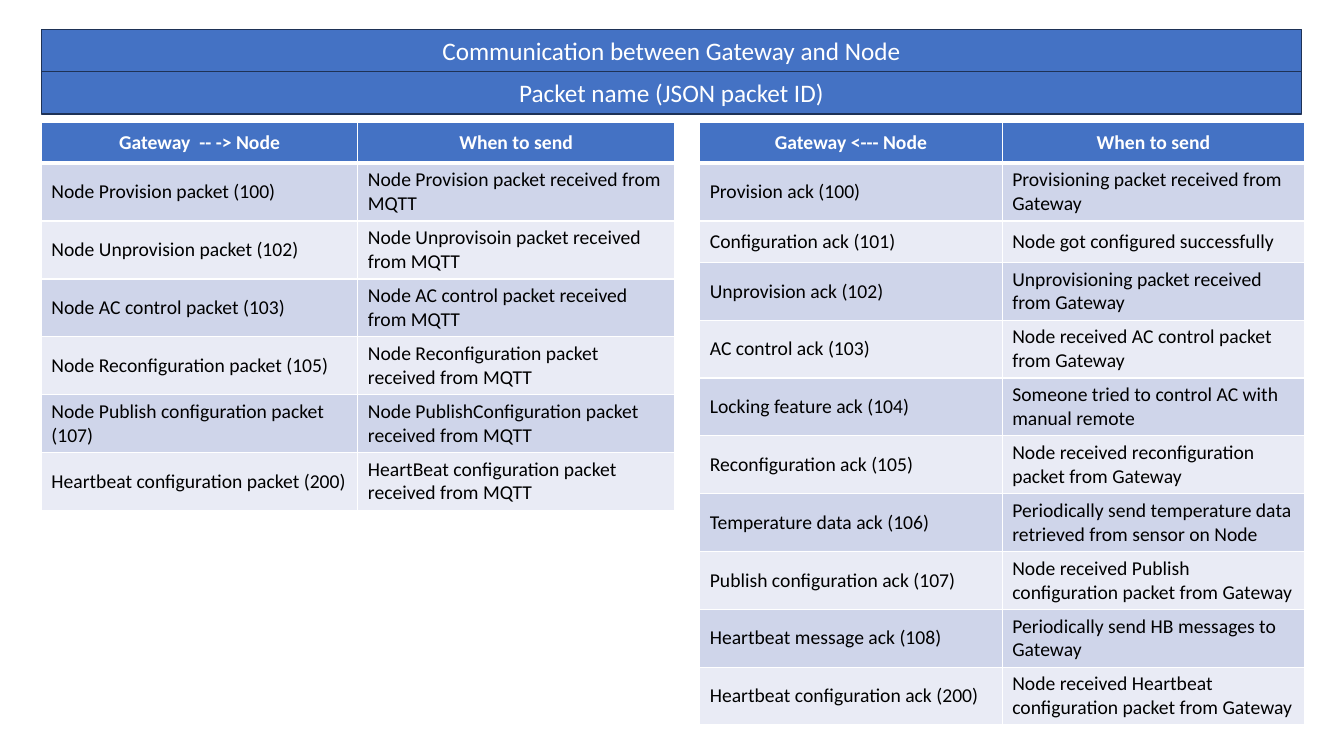
from dataclasses import dataclass

from lxml.etree import SubElement
from pptx import Presentation
from pptx.dml.color import RGBColor
from pptx.enum.shapes import MSO_SHAPE as Shape
from pptx.enum.text import MSO_ANCHOR as Anchor, PP_ALIGN as Align
from pptx.oxml.ns import qn
from pptx.slide import Slide
from pptx.table import _Cell as Cell
from pptx.text.text import TextFrame
from pptx.util import Inches, Pt

FONT = "Calibri"
BLUE, NAVY, WHITE, BLACK = "4472C4", "1E3256", "FFFFFF", "000000"
BANDS = ("CFD5EA", "E9EBF5")
LEFT, BANNER_WIDTH, BANNER_HEIGHT = 0.41, 12.5, 0.42
TABLE_TOP, ROW_HEIGHT = 1.21, 0.41


@dataclass
class Banner:
    text: str
    top: float


@dataclass
class PacketTable:
    left: float
    column_width: float
    rows: list[tuple[str, str]]


BANNERS = [
    Banner("Communication between Gateway and Node", 0.29),
    Banner("Packet name (JSON packet ID)", 0.71),
]

TABLES = [
    PacketTable(LEFT, 3.14, [
        ("Gateway  -- -> Node", "When to send"),
        ("Node Provision packet (100)", "Node Provision packet received from MQTT"),
        ("Node Unprovision packet (102)", "Node Unprovisoin packet received from MQTT"),
        ("Node AC control packet (103)", "Node AC control packet received from MQTT"),
        ("Node Reconfiguration packet (105)", "Node Reconfiguration packet received from MQTT"),
        ("Node Publish configuration packet (107)",
         "Node PublishConfiguration packet received from MQTT"),
        ("Heartbeat configuration packet (200)",
         "HeartBeat configuration packet received from MQTT"),
    ]),
    PacketTable(6.94, 3, [
        ("Gateway <--- Node", "When to send"),
        ("Provision ack (100)", "Provisioning packet received from Gateway"),
        ("Configuration ack (101)", "Node got configured successfully"),
        ("Unprovision ack (102)", "Unprovisioning packet received from Gateway"),
        ("AC control ack (103)", "Node received AC control packet from Gateway"),
        ("Locking feature ack (104)", "Someone tried to control AC with manual remote"),
        ("Reconfiguration ack (105)", "Node received reconfiguration packet from Gateway"),
        ("Temperature data ack (106)",
         "Periodically send temperature data retrieved from sensor on Node"),
        ("Publish configuration ack (107)",
         "Node received Publish configuration packet from Gateway"),
        ("Heartbeat message ack (108)", "Periodically send HB messages to Gateway"),
        ("Heartbeat configuration ack (200)",
         "Node received Heartbeat configuration packet from Gateway"),
    ]),
]


def color(value: str) -> RGBColor:
    return RGBColor.from_string(value)


def write(frame: TextFrame, text: str, size: float, ink: str,
          align: Align, bold: bool = False) -> None:
    paragraph = frame.paragraphs[0]
    paragraph.alignment = align
    run = paragraph.add_run()
    run.text = text
    run.font.name = FONT
    run.font.size = Pt(size)
    run.font.bold = bold
    run.font.color.rgb = color(ink)


def add_borders(cell: Cell, top: float, bottom: float) -> None:
    properties = cell._tc.get_or_add_tcPr()
    for side, width in (("L", 1), ("R", 1), ("T", top), ("B", bottom)):
        line = SubElement(properties, qn(f"a:ln{side}"), w=str(Pt(width)))
        fill = SubElement(line, qn("a:solidFill"))
        SubElement(fill, qn("a:srgbClr"), val=WHITE)


def add_banner(slide: Slide, banner: Banner) -> None:
    shape = slide.shapes.add_shape(
        Shape.RECTANGLE, Inches(LEFT), Inches(banner.top),
        Inches(BANNER_WIDTH), Inches(BANNER_HEIGHT))
    shape.shadow.inherit = False
    shape.fill.solid()
    shape.fill.fore_color.rgb = color(BLUE)
    shape.line.color.rgb = color(NAVY)
    shape.line.width = Pt(1)
    shape.text_frame.vertical_anchor = Anchor.MIDDLE
    write(shape.text_frame, banner.text, 18, WHITE, Align.CENTER)


def add_packet_table(slide: Slide, packets: PacketTable) -> None:
    row_count = len(packets.rows)
    table = slide.shapes.add_table(
        row_count, 2, Inches(packets.left), Inches(TABLE_TOP),
        Inches(2 * packets.column_width), Inches(row_count * ROW_HEIGHT)).table
    for column in table.columns:
        column.width = Inches(packets.column_width)
    for row_index, texts in enumerate(packets.rows):
        table.rows[row_index].height = Inches(ROW_HEIGHT)
        header = row_index == 0
        for column_index, text in enumerate(texts):
            cell = table.cell(row_index, column_index)
            # The line under the header is thicker than the others
            add_borders(cell, top=3 if row_index == 1 else 1, bottom=3 if header else 1)
            cell.fill.solid()
            cell.fill.fore_color.rgb = color(BLUE if header else BANDS[(row_index - 1) % 2])
            cell.vertical_anchor = Anchor.MIDDLE
            write(cell.text_frame, text, 14, WHITE if header else BLACK,
                  Align.CENTER if header else Align.LEFT, bold=header)


def main() -> None:
    presentation = Presentation()
    presentation.slide_width = Inches(13.33)
    presentation.slide_height = Inches(7.5)
    slide = presentation.slides.add_slide(presentation.slide_layouts[6])

    # Title banners
    for banner in BANNERS:
        add_banner(slide, banner)

    # One table for each direction
    for packets in TABLES:
        add_packet_table(slide, packets)

    presentation.save("out.pptx")


if __name__ == "__main__":
    main()
